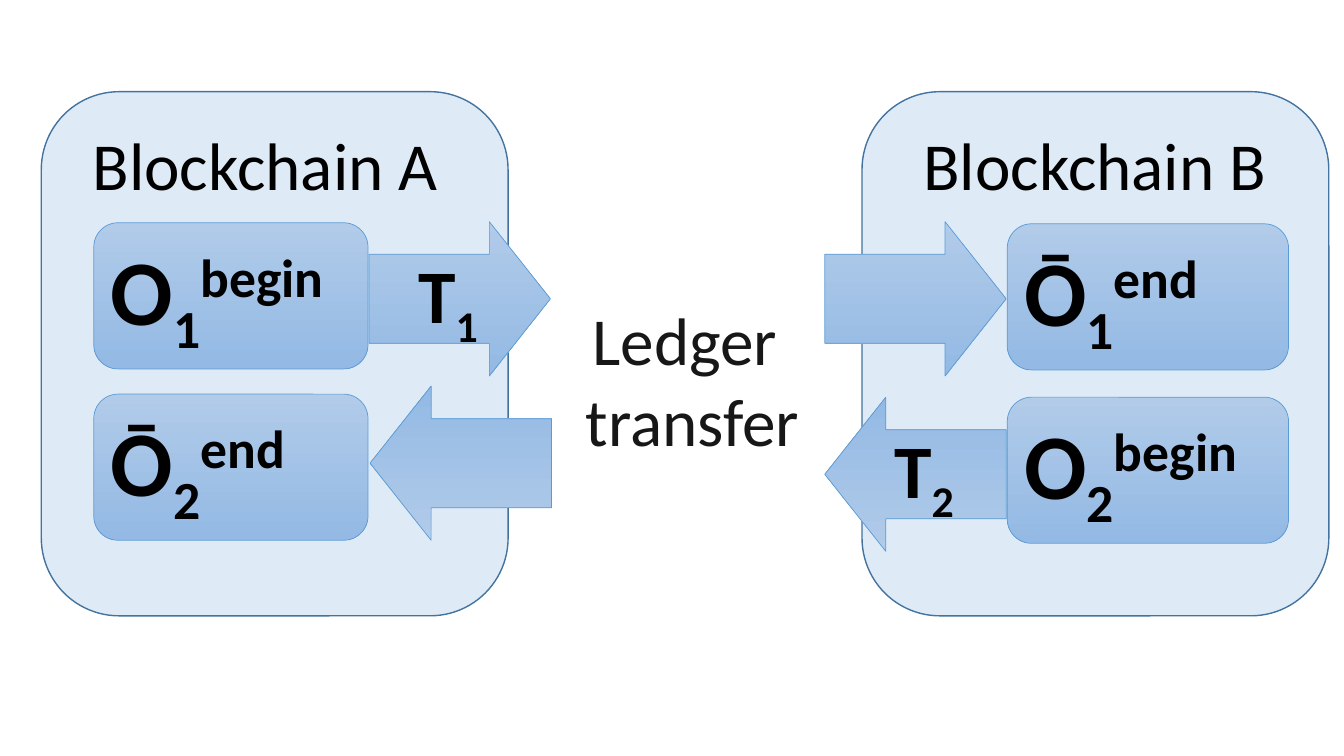
from pptx import Presentation
from pptx.dml.color import RGBColor
from pptx.enum.shapes import MSO_SHAPE
from pptx.enum.text import MSO_ANCHOR, MSO_AUTO_SIZE, PP_ALIGN
from pptx.util import Inches, Pt

ROUNDED = MSO_SHAPE.ROUNDED_RECTANGLE
RIGHT_ARROW = MSO_SHAPE.RIGHT_ARROW
MIDDLE = MSO_ANCHOR.MIDDLE
GROW = MSO_AUTO_SIZE.SHAPE_TO_FIT_TEXT
LEFT, CENTER = PP_ALIGN.LEFT, PP_ALIGN.CENTER

FONT = "Calibri"
BLACK, INK = "000000", "181717"
PANEL_FILL, PANEL_LINE = "DEEBF7", "43739E"
GRADIENT = ("B1CBE9", "93B9E4")
BLOCK_LINE = "5B9BD5"
SUBSCRIPT, SUPERSCRIPT = -25, 30


def color(hex_value):
    return RGBColor.from_string(hex_value)


def write_text(frame, text, size, color_hex=BLACK, bold=False, align=LEFT,
               subscript="", superscript=""):
    """Fill a frame; a newline in the text becomes a line break."""
    frame.word_wrap = True
    paragraph = frame.paragraphs[0]
    paragraph.alignment = align
    parts = [(text, 0), (subscript, SUBSCRIPT), (superscript, SUPERSCRIPT)]
    for part, baseline in parts:
        if not part:
            continue
        for index, line in enumerate(part.split("\n")):
            if index:
                paragraph.add_line_break()
            run = paragraph.add_run()
            run.text = line
            run.font.name = FONT
            run.font.size = Pt(size)
            run.font.bold = bold
            run.font.color.rgb = color(color_hex)
            if baseline:
                run.font._element.set("baseline", str(baseline * 1000))


def add_box(slide, kind, left, top, width, height, line, line_width):
    shape = slide.shapes.add_shape(
        kind, Inches(left), Inches(top), Inches(width), Inches(height))
    shape.shadow.inherit = False
    shape.line.color.rgb = color(line)
    shape.line.width = Pt(line_width)
    return shape


def add_panel(slide, left):
    panel = add_box(slide, ROUNDED, left, 0.91, 4.63, 5.2, PANEL_LINE, 1)
    panel.fill.solid()
    panel.fill.fore_color.rgb = color(PANEL_FILL)


def add_gradient_box(slide, kind, left, top, width, height):
    shape = add_box(slide, kind, left, top, width, height, BLOCK_LINE, 0.5)
    shape.fill.gradient()
    shape.fill.gradient_angle = 270
    for stop, hex_value in zip(shape.fill.gradient_stops, GRADIENT):
        stop.color.rgb = color(hex_value)
    return shape


def add_object(slide, left, top, width, letter, number, state):
    block = add_gradient_box(slide, ROUNDED, left, top, width, 1.45)
    block.text_frame.vertical_anchor = MIDDLE
    write_text(block.text_frame, letter, 66, bold=True,
               subscript=number, superscript=state)


def add_arrow(slide, left, top, rotation=0):
    arrow = add_gradient_box(slide, RIGHT_ARROW, left, top, 1.8, 1.53)
    arrow.adjustments[0] = 0.577
    arrow.adjustments[1] = 0.396
    arrow.rotation = rotation


def add_label(slide, left, top, width, height, text, size, **text_format):
    label = slide.shapes.add_textbox(
        Inches(left), Inches(top), Inches(width), Inches(height))
    label.text_frame.auto_size = GROW
    write_text(label.text_frame, text, size, **text_format)


def main():
    presentation = Presentation()
    presentation.slide_width = Inches(13.33)
    presentation.slide_height = Inches(7.5)
    slide = presentation.slides.add_slide(presentation.slide_layouts[6])

    for name, panel_left, title_left in (("A", 0.41, 0.82), ("B", 8.55, 9.06)):
        add_panel(slide, panel_left)
        add_label(slide, title_left, 1.17, 4.12, 0.91,
                  f"Blockchain {name}", 48)

    for left, top, width, letter, number, state in (
            (0.93, 2.21, 2.72, "O", "1", "begin"),
            (0.93, 3.91, 2.72, "Ō", "2", "end"),
            (9.99, 2.22, 2.79, "Ō", "1", "end"),
            (9.99, 3.94, 2.79, "O", "2", "begin")):
        add_object(slide, left, top, width, letter, number, state)

    for left, top, rotation in ((3.66, 2.2, 0), (8.18, 2.2, 0),
                                (8.18, 3.94, 180), (3.67, 3.83, 180)):
        add_arrow(slide, left, top, rotation)

    add_label(slide, 4.47, 2.91, 4.8, 1.72, "Ledger \ntransfer", 48,
              color_hex=INK, align=CENTER)
    for number, left, top in (("1", 4.05, 2.41), ("2", 8.77, 4.15)):
        add_label(slide, left, top, 1.02, 1.02, "T", 54,
                  bold=True, subscript=number)

    presentation.save("out.pptx")


if __name__ == "__main__":
    main()
